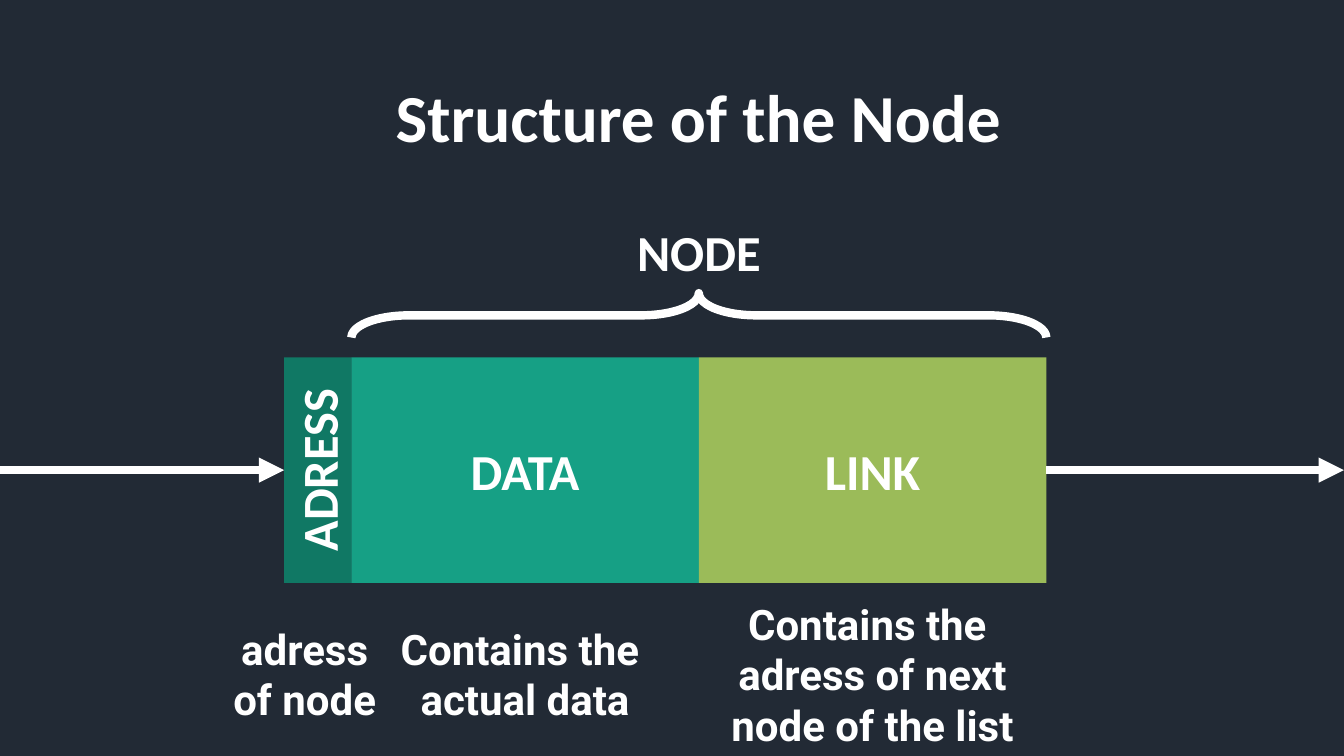
from dataclasses import dataclass
from pptx import Presentation
from pptx.dml.color import RGBColor
from pptx.enum.shapes import MSO_CONNECTOR, MSO_SHAPE
from pptx.enum.text import MSO_ANCHOR, PP_ALIGN
from pptx.oxml.ns import qn
from pptx.util import Pt
from lxml import etree

RECT, BRACE = MSO_SHAPE.RECTANGLE, MSO_SHAPE.RIGHT_BRACE
STRAIGHT = MSO_CONNECTOR.STRAIGHT
CENTER, MIDDLE = PP_ALIGN.CENTER, MSO_ANCHOR.MIDDLE
LEFT, RIGHT = 1, 3
WIDE, HIGH = 960, 540


@dataclass(frozen=True)
class Theme:
    """Colours, fonts and type sizes of the slide."""
    back: str = "222A35"
    ink: str = "FFFFFF"
    dark: str = "107864"
    teal: str = "16A085"
    green: str = "9BBB59"
    head: str = "Calibri"
    body: str = "Roboto"
    title: int = 48
    label: int = 36
    note: int = 30
    line: int = 6


THEME = Theme()


def rgb(code):
    """Turn a hex code into a colour."""
    return RGBColor.from_string(code)


def write(frame, text, size=THEME.label, font=THEME.head, wrap=True, turn=None):
    """Set centred bold text in a frame, one paragraph a line."""
    frame.word_wrap = wrap
    frame.vertical_anchor = MIDDLE
    frame.margin_left = frame.margin_right = 0
    frame.margin_top = frame.margin_bottom = 0
    if turn:
        frame._txBody.bodyPr.set("vert", turn)
    frame.text = text
    for para in frame.paragraphs:
        para.alignment = CENTER
        for run in para.runs:
            run.font.name, run.font.size = font, Pt(size)
            run.font.bold = True
            run.font.color.rgb = rgb(THEME.ink)


def note(slide, mid, top, wide, high, text, **form):
    """Add a text box centred on a given x."""
    box = slide.shapes.add_textbox(Pt(mid - wide / 2), Pt(top), Pt(wide), Pt(high))
    write(box.text_frame, text, **form)


def arrow(slide, start, end):
    """Add a straight arrow between two points."""
    line = slide.shapes.add_connector(STRAIGHT, *map(Pt, start + end))
    line.line.color.rgb = rgb(THEME.ink)
    line.line.width = Pt(THEME.line)
    etree.SubElement(line.line._get_or_add_ln(), qn("a:tailEnd"), type="triangle")
    etree.SubElement(line._element.spPr, qn("a:effectLst"))
    return line


def heading(slide, left, top, wide, high):
    """Place the slide title."""
    title = slide.shapes.title
    title.left, title.top = Pt(left), Pt(top)
    title.width, title.height = Pt(wide), Pt(high)
    write(title.text_frame, "Structure of the Node", size=THEME.title)


def brace(slide, left, top, wide, high):
    """Draw a brace that opens down and its label above."""
    mid = left + wide / 2
    shape = slide.shapes.add_shape(
        BRACE, Pt(mid - high / 2), Pt(top + (high - wide) / 2), Pt(high), Pt(wide))
    shape.rotation = 270
    shape.adjustments[0], shape.adjustments[1] = 1.3, 0.5
    shape.shadow.inherit = False
    shape.fill.background()
    shape.line.color.rgb = rgb(THEME.ink)
    shape.line.width = Pt(THEME.line)
    note(slide, mid, top - 55.4, 104, 51, "NODE", wrap=False)


def node(slide, left, top, wide, high):
    """Draw the three cells, their captions and the arrows in and out."""
    slim = 48
    broad = (wide - slim) / 2
    parts = [
        ("ADRESS", slim, THEME.dark, "vert270", "adress \nof node ", 178, -5.6),
        ("DATA", broad, THEME.teal, None, "Contains the \nactual data", 240, 0),
        ("LINK", broad, THEME.green, None,
         "Contains the \nadress of next\nnode of the list", 240, 0),
    ]
    cells, x = [], left
    for name, span, fill, turn, text, room, shift in parts:
        cell = slide.shapes.add_shape(RECT, Pt(x), Pt(top), Pt(span), Pt(high))
        cell.shadow.inherit = False
        cell.fill.solid()
        cell.fill.fore_color.rgb = rgb(fill)
        cell.line.fill.background()
        write(cell.text_frame, name, wrap=False, turn=turn)
        note(slide, x + span / 2 + shift, top + high + 7, room, 116, text,
             size=THEME.note, font=THEME.body)
        cells.append(cell)
        x += span
    mid = top + high / 2
    arrow(slide, (0, mid), (left, mid)).end_connect(cells[0], LEFT)
    arrow(slide, (x, mid), (WIDE, mid)).begin_connect(cells[-1], RIGHT)
    brace(slide, left + slim, top - 45.8, wide - slim, 31.7)


def main():
    """Build and save the slide."""
    deck = Presentation()
    deck.slide_width, deck.slide_height = Pt(WIDE), Pt(HIGH)
    slide = deck.slides.add_slide(deck.slide_layouts.get_by_name("Title Only"))
    slide.background.fill.solid()
    slide.background.fill.fore_color.rgb = rgb(THEME.back)
    heading(slide, 259, 50, 480, 65)
    node(slide, 203, 255.2, 544.4, 161.2)
    deck.save("out.pptx")


if __name__ == "__main__":
    main()
